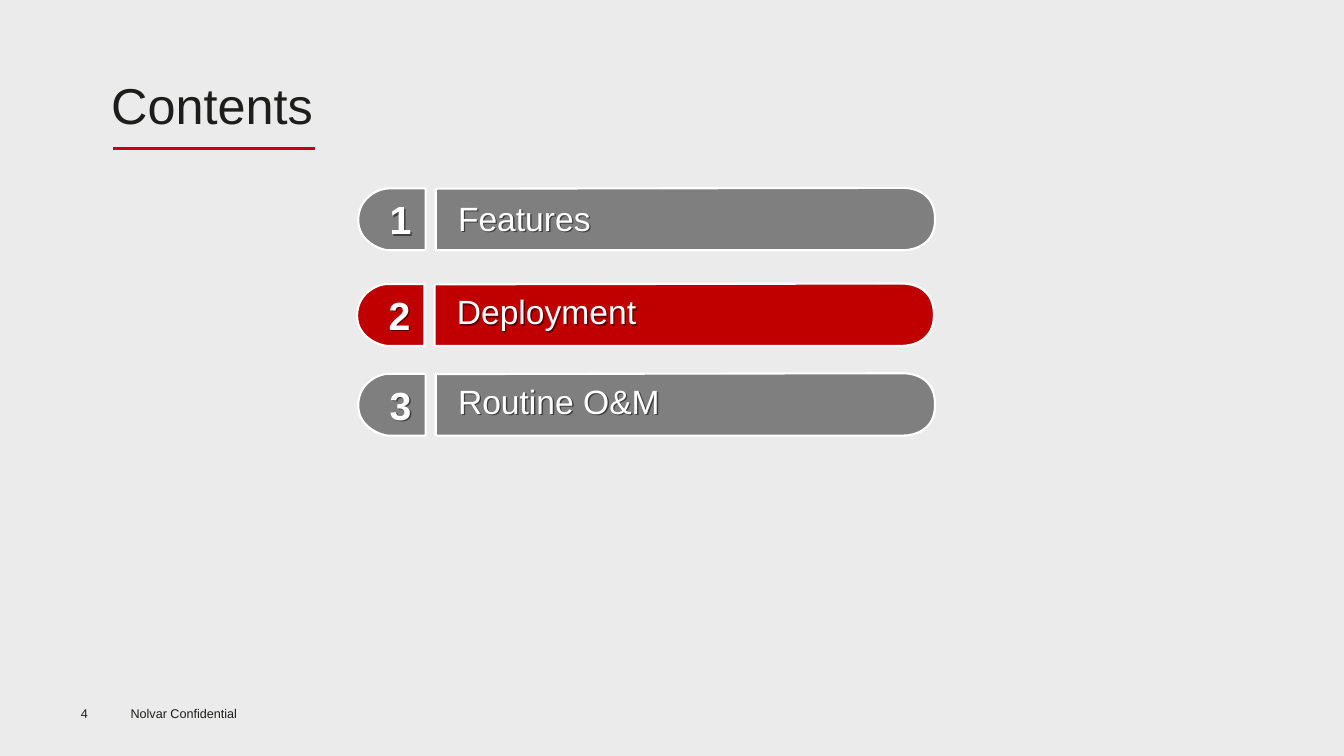
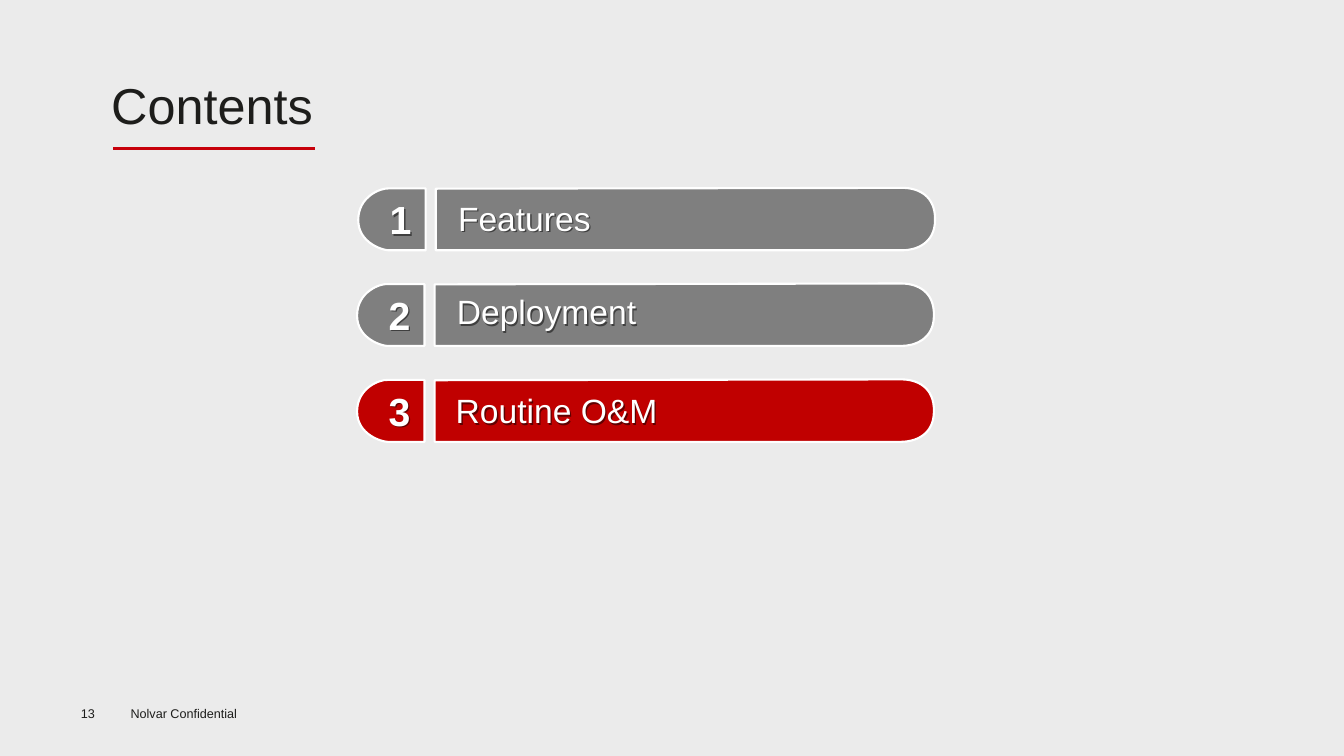
"""Build two agenda slides that highlight the current chapter."""
from lxml import etree
from pptx import Presentation
from pptx.dml.color import RGBColor
from pptx.enum import shapes, text
from pptx.oxml import ns
from pptx.util import Pt

COLORS = {"background": "EBEBEB", "ink": "1D1D1B", "rule": "C7000B",
          "idle": "7F7F7F", "active": "C00000", "white": "FFFFFF", "shadow": "000000"}
FONT = "Arial"
CAP = [[(48.2, 0.4)], [(48.2, 44.6)], [(21.6, 44.6)],
       [(18, 44.6), (0, 39.6), (0, 23)], [(0, 5.8), (16.6, 0), (21.6, 0.4)]]
BAR = [[(55.4, 0.6)], [(55.4, 44.6)], [(388.8, 44.6)],
       [(398, 44.6), (412, 40), (412, 23)], [(412.5, 5.6), (400, 0), (388.8, 0)]]
AGENDAS = [
    (4, 2, [("Features", 255.9, 134.2, 320.1, 137.6), ("Deployment", 255.1, 202.5, 319.2, 204.6),
            ("Routine O&M", 255.9, 266.6, 320.1, 268.6)]),
    (13, 3, [("Features", 255.9, 134.2, 320.1, 137.6), ("Deployment", 255.1, 202.5, 319.2, 204.6),
             ("Routine O&M", 255.1, 271, 318.4, 275.1)]),
]


def add_text(parent, content, box, size, color="ink", bold=False, margins=(7.2, 3.6), shadow=False):
    shape = parent.add_textbox(*map(Pt, box))
    frame = shape.text_frame
    frame.word_wrap = True
    frame.margin_left = frame.margin_right = Pt(margins[0])
    frame.margin_top = frame.margin_bottom = Pt(margins[1])
    frame.text = content
    font = frame.paragraphs[0].runs[0].font
    font.size, font.bold, font.name = Pt(size), bold, FONT
    font.color.rgb = RGBColor.from_string(COLORS[color])
    if shadow:
        effects = etree.SubElement(shape._element.spPr, ns.qn("a:effectLst"))
        outer = etree.SubElement(effects, ns.qn("a:outerShdw"), dist="17961", dir="2700000")
        tint = etree.SubElement(outer, ns.qn("a:srgbClr"), val=COLORS["shadow"])
        etree.SubElement(tint, ns.qn("a:alpha"), val="50000")
    return shape


def add_outline(parent, segments, left, top, color):
    corners = [[(Pt(left + x), Pt(top + y)) for x, y in segment] for segment in segments]
    builder = parent.build_freeform(*corners[0][0])
    builder.add_line_segments([segment[-1] for segment in corners[1:]], close=True)
    shape = builder.convert_to_shape()
    lines = list(shape._element.iter(ns.qn("a:lnTo")))
    for line, segment in zip(lines, corners[1:]):
        if len(segment) == 3:
            curve = etree.Element(ns.qn("a:cubicBezTo"))
            for x, y in segment:
                etree.SubElement(curve, ns.qn("a:pt"), x=str(x - shape.left), y=str(y - shape.top))
            line.getparent().replace(line, curve)
    shape.shadow.inherit = False
    shape.fill.solid()
    shape.fill.fore_color.rgb = RGBColor.from_string(COLORS[color])
    shape.line.color.rgb = RGBColor.from_string(COLORS["white"])
    shape.line.width = Pt(1.5)


presentation = Presentation()
presentation.slide_width, presentation.slide_height = Pt(960), Pt(540)
background = presentation.slide_master.background.fill
background.solid()
background.fore_color.rgb = RGBColor.from_string(COLORS["background"])

for page, current, rows in AGENDAS:
    slide = presentation.slides.add_slide(presentation.slide_layouts[6])
    add_text(slide.shapes, "Nolvar Confidential", (86.2, 500.4, 115.2, 18), 9)
    add_text(slide.shapes, str(page), (57.8, 504, 39.6, 10.8), 9, margins=(0, 0))
    title = add_text(slide.shapes, "Contents", (72.3, 49.2, 159.8, 51.1), 36)
    title.text_frame.word_wrap = False
    title.text_frame.vertical_anchor = text.MSO_ANCHOR.MIDDLE

    rule = slide.shapes.add_connector(shapes.MSO_CONNECTOR.STRAIGHT, Pt(224.9), Pt(106.2), Pt(81), Pt(106.2))
    rule.line.color.rgb = RGBColor.from_string(COLORS["rule"])
    rule.line.width = Pt(2.25)
    etree.SubElement(rule._element.spPr, ns.qn("a:effectLst"))

    for number, (label, left, top, label_left, label_top) in enumerate(rows, 1):
        group = slide.shapes.add_group_shape()
        color = "active" if number == current else "idle"
        add_outline(group.shapes, BAR, left, top, color)
        add_outline(group.shapes, CAP, left, top, color)
        add_text(group.shapes, label, (label_left, label_top, 327.6, 36), 24, "white", shadow=True)
        digit = add_text(group.shapes, str(number), (left + 18.2, top + 5.5, 24, 33), 28, "white",
                         bold=True, margins=(0, 0), shadow=True)
        digit.text_frame.paragraphs[0].alignment = text.PP_ALIGN.CENTER

presentation.save("out.pptx")
